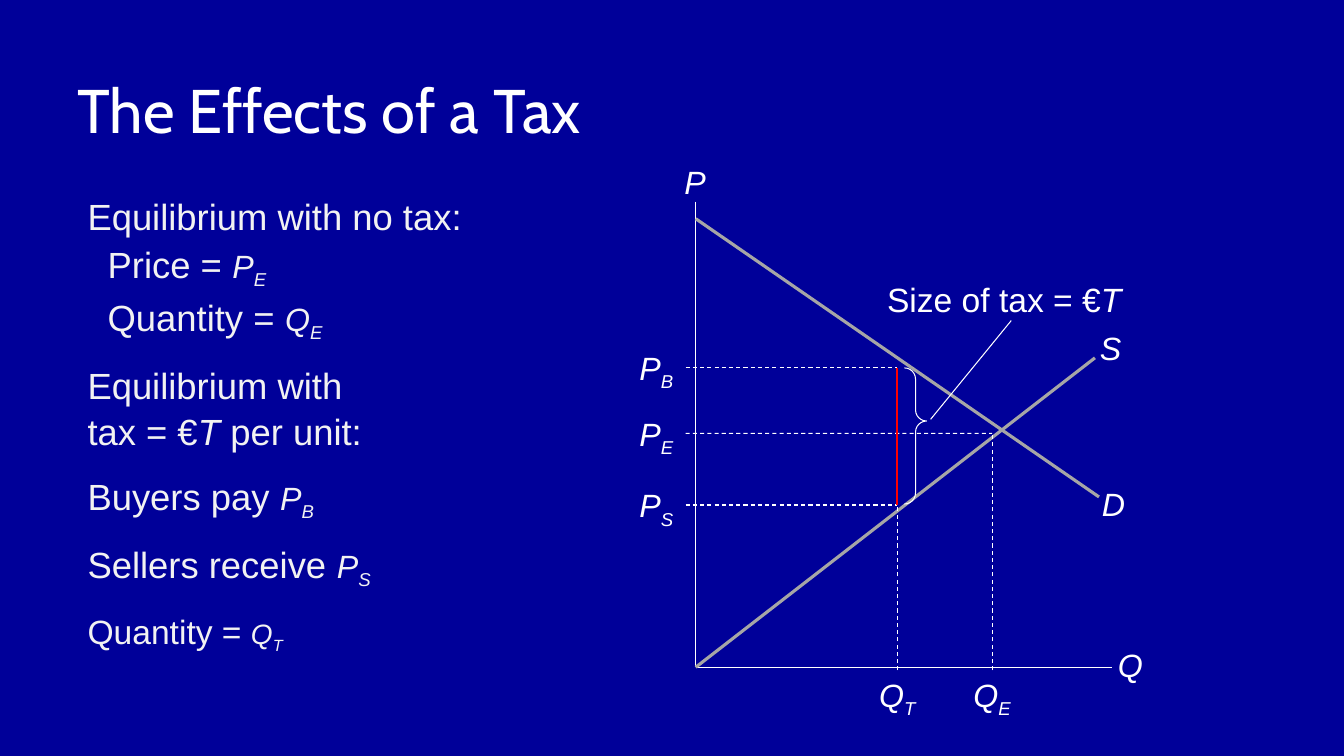
"""Build a slide on the effects of a tax on market price and quantity."""
import pptx
import pptx.dml.color
import pptx.enum.dml
import pptx.enum.shapes
import pptx.enum.text
import pptx.oxml.ns
import pptx.util
from pptx.util import Inches

WHITE, PALE, GREY, RED, NAVY = "FFFFFF", "F2F2F2", "A6A6A6", "FF0000", "000099"
LEFT, BASE = 6.9, 6.62
TAX_X, EVEN_X = 8.9, 9.84
BUY_Y, EVEN_Y, SELL_Y = 3.65, 4.3, 5.01
ALIGN = pptx.enum.text.PP_ALIGN


def paint(color, value):
    """Set a colour from a hex string."""
    color.rgb = pptx.dml.color.RGBColor.from_string(value)


def add_run(para, text, size, color=WHITE, italic=False, sub=False, font="Arial"):
    """Add one styled run."""
    run = para.add_run()
    run.text = text
    run.font.size = pptx.util.Pt(size)
    run.font.name = font
    run.font.italic = italic
    paint(run.font.color, color)
    if sub:
        run.font._element.set("baseline", "-25000")


def add_box(slide, x, y, w, h, wrap=True):
    """Add an empty text box."""
    box = slide.shapes.add_textbox(Inches(x), Inches(y), Inches(w), Inches(h))
    box.text_frame.word_wrap = wrap
    return box


def add_label(slide, x, y, name, sub="", w=0.4):
    """Add a centred italic symbol with an optional subscript."""
    box = add_box(slide, x, y, w, 0.48, False)
    para = box.text_frame.paragraphs[0]
    para.alignment = ALIGN.CENTER
    add_run(para, name, 23, italic=True)
    if sub:
        add_run(para, sub, 23, italic=True, sub=True)
    return box


def add_line(slide, start, end, color=WHITE, width=0.75, dash=False):
    """Add a straight line between two points."""
    line = slide.shapes.add_connector(
        pptx.enum.shapes.MSO_CONNECTOR.STRAIGHT,
        *(Inches(v) for v in (*start, *end)))
    paint(line.line.color, color)
    line.line.width = pptx.util.Pt(width)
    if dash:
        line.line.dash_style = pptx.enum.dml.MSO_LINE.DASH
    props = line._element.spPr
    props.append(props.makeelement(pptx.oxml.ns.qn("a:effectLst"), {}))
    return line


def add_price(slide, sub, y, x):
    """Mark a price and its dashed guide out to x."""
    label = add_label(slide, 6.22, y - 0.24, "P", sub, 0.58)
    add_line(slide, (6.8, y), (x, y), dash=True).begin_connect(label, 3)


def add_amount(slide, sub, x, y):
    """Mark a quantity and its dashed guide up to y."""
    label = add_label(slide, x - 0.32, 6.65, "Q", sub, 0.64)
    add_line(slide, (x, 6.65), (x, y), dash=True).begin_connect(label, 0)


def add_brace(slide):
    """Add the brace that spans the tax."""
    brace = slide.shapes.add_shape(
        pptx.enum.shapes.MSO_SHAPE.LEFT_BRACE,
        Inches(8.97), Inches(BUY_Y), Inches(0.22), Inches(1.35))
    brace.rotation = 180
    brace.adjustments[0] = 0.5
    brace.adjustments[1] = 0.61
    brace.shadow.inherit = False
    brace.fill.background()
    paint(brace.line.color, WHITE)
    brace.line.width = pptx.util.Pt(0.75)


def add_title(slide):
    """Add the slide title."""
    frame = add_box(slide, 0.67, 0.32, 12, 1.51).text_frame
    frame.vertical_anchor = pptx.enum.text.MSO_ANCHOR.MIDDLE
    add_run(frame.paragraphs[0], "The Effects of a Tax", 44, font="Cabin")


def add_notes(slide):
    """Add the text on the left."""
    rows = [
        ("Equilibrium with no tax:", "", "", 26, 23, 1.1, 0, 0),
        ("Price = ", "P", "E", 26, 23, 1.1, 0, 0.2),
        ("Quantity = ", "Q", "E", 26, 23, 1.1, 0, 0.2),
        ("Equilibrium with", "", "", 26, 23, 1.05, 13, 0),
        ("tax = €", "T", "", 26, 26, 1.05, 0, 0),
        ("Buyers pay ", "P", "B", 26, 23, 1.05, 13, 0),
        ("Sellers receive ", "P", "S", 26, 23, 1.05, 13, 0),
        ("Quantity = ", "Q", "T", 24, 20, 1.05, 13, 0),
    ]
    frame = add_box(slide, 0.77, 1.83, 4.2, 4.9).text_frame
    for i, (text, name, sub, size, small, space, gap, dent) in enumerate(rows):
        para = frame.add_paragraph() if i else frame.paragraphs[0]
        para.line_spacing = space
        para.space_before = pptx.util.Pt(gap)
        if dent:
            para._p.get_or_add_pPr().set("marL", str(Inches(dent)))
        add_run(para, text, size, PALE)
        if name:
            add_run(para, name, small, PALE, True)
        if sub:
            add_run(para, sub, small, PALE, True, True)
        elif name:
            add_run(para, " per unit:", size, PALE)


def add_graph(slide):
    """Add the axes with the demand and supply lines."""
    add_line(slide, (LEFT, 2), (LEFT, BASE))
    add_line(slide, (LEFT, BASE), (11.03, BASE))
    add_line(slide, (LEFT, 2.17), (10.9, 4.93), GREY, 2.25)
    add_line(slide, (LEFT, BASE), (10.86, 3.55), GREY, 2.25)
    for name, x, y in (("P", 6.69, 1.56), ("Q", 10.99, 6.35),
                       ("D", 10.83, 4.76), ("S", 10.81, 3.21)):
        add_label(slide, x, y, name)


def add_tax(slide):
    """Add the guides, the tax wedge and its callout."""
    add_amount(slide, "T", TAX_X, BUY_Y)
    add_amount(slide, "E", EVEN_X, EVEN_Y)
    add_price(slide, "B", BUY_Y, TAX_X)
    add_price(slide, "E", EVEN_Y, EVEN_X)
    add_price(slide, "S", SELL_Y, TAX_X)
    add_line(slide, (TAX_X, BUY_Y), (TAX_X, SELL_Y), RED, 1.5)
    add_brace(slide)
    para = add_box(slide, 8.7, 2.72, 2.56, 0.5, False).text_frame.paragraphs[0]
    add_run(para, "Size of tax = €", 24)
    add_run(para, "T", 24, italic=True)
    add_line(slide, (9.23, 4.16), (10.03, 3.18))


def main():
    """Build and save the slide."""
    deck = pptx.Presentation()
    deck.slide_width, deck.slide_height = Inches(13.33), Inches(7.5)
    slide = deck.slides.add_slide(deck.slide_layouts[6])
    fill = slide.background.fill
    fill.solid()
    paint(fill.fore_color, NAVY)
    add_title(slide)
    add_graph(slide)
    add_notes(slide)
    add_tax(slide)
    deck.save("out.pptx")


if __name__ == "__main__":
    main()
